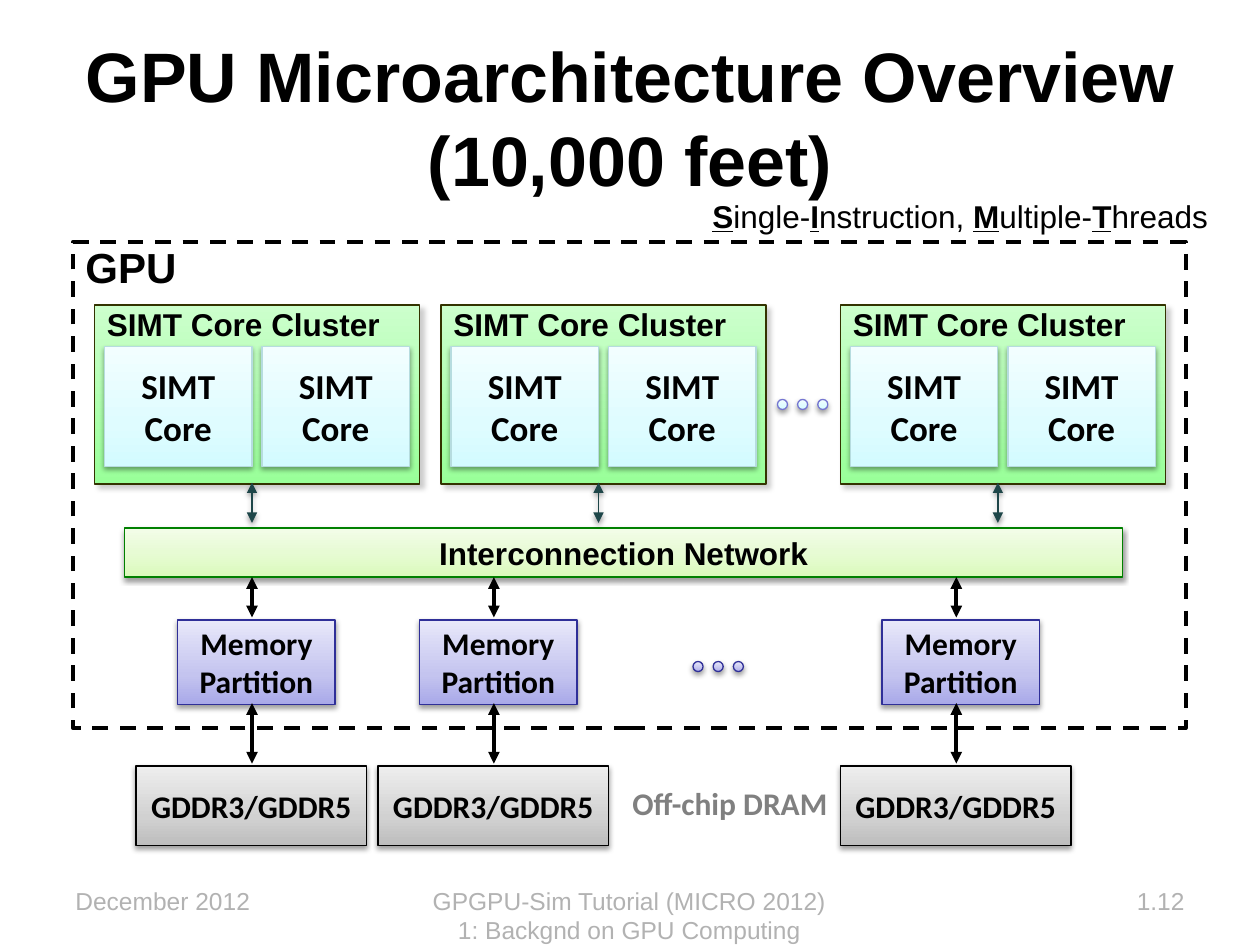
from dataclasses import dataclass

from lxml import etree
from pptx import Presentation
from pptx.dml.color import RGBColor
from pptx.enum.dml import MSO_LINE
from pptx.enum.shapes import MSO_CONNECTOR, MSO_SHAPE
from pptx.enum.text import MSO_ANCHOR, PP_ALIGN
from pptx.oxml.ns import qn
from pptx.util import Inches, Pt

RECT, OVAL = MSO_SHAPE.RECTANGLE, MSO_SHAPE.OVAL
STRAIGHT, DASH = MSO_CONNECTOR.STRAIGHT, MSO_LINE.DASH
LEFT, CENTER, RIGHT = PP_ALIGN.LEFT, PP_ALIGN.CENTER, PP_ALIGN.RIGHT
TOP, MIDDLE = MSO_ANCHOR.TOP, MSO_ANCHOR.MIDDLE


@dataclass(frozen=True)
class Theme:
    sans: str = "Arial"
    label: str = "Calibri"
    # Type sizes
    title: int = 40
    heading: int = 24
    core_size: int = 20
    body: int = 18
    footer_size: int = 14
    # Text and line colours
    ink: str = "000000"
    footer: str = "B2B2B2"
    muted: str = "808080"
    cluster_line: str = "333300"
    core_line: str = "B6DCDF"
    core_dot_line: str = "7575D1"
    core_arrow: str = "1E4649"
    network_line: str = "008000"
    memory_line: str = "2F2F98"
    # Gradients, bottom to top: (position in percent, colour)
    cluster: tuple = ((0, "99FF99"), (100, "CCFFCC"))
    core: tuple = ((0, "D3FBFF"), (35, "DFFCFF"), (100, "F2FEFF"))
    network: tuple = ((0, "DAFABB"), (50, "E7FBD4"), (100, "F3FDE9"))
    memory: tuple = ((0, "A9A9E9"), (35, "C4C4EF"), (100, "E8E8FA"))
    dram: tuple = ((0, "BDBDBD"), (35, "D1D1D1"), (100, "EEEEEE"))
    # Shadows: opacity in percent, blur, distance (points), direction (degrees)
    soft: tuple = (38, 3.1, 1.6, 90)
    corner: tuple = (20, 3, 3, 45)


THEME = Theme()


def add_text(tf, text, size=THEME.body, font=THEME.sans, color=THEME.ink,
             bold=False, align=LEFT, anchor=TOP, wrap=False):
    """Write one paragraph per line; *marked* parts are bold and underlined."""
    tf.word_wrap = wrap
    tf.vertical_anchor = anchor
    for i, line in enumerate(text.split("\n")):
        p = tf.add_paragraph() if i else tf.paragraphs[0]
        p.alignment = align
        for j, part in enumerate(line.split("*")):
            if not part:
                continue
            marked = j % 2 == 1
            r = p.add_run()
            r.text = part
            r.font.size, r.font.name = Pt(size), font
            r.font.bold = bold or marked
            r.font.underline = marked
            r.font.color.rgb = RGBColor.from_string(color)


def add_color(parent, color, alpha=100):
    clr = etree.SubElement(parent, qn("a:srgbClr"), val=color)
    if alpha < 100:
        etree.SubElement(clr, qn("a:alpha"), val=str(alpha * 1000))


class Builder:
    def __init__(self, slide, theme):
        self.s, self.theme = slide, theme
        self.shapes = slide.shapes

    def group(self):
        """Send the following elements to a new group."""
        self.shapes = self.s.shapes.add_group_shape().shapes

    def ungroup(self):
        self.shapes = self.s.shapes

    def text(self, x, y, w, h, text, **fmt):
        sp = self.shapes.add_textbox(*map(Inches, (x, y, w, h)))
        add_text(sp.text_frame, text, **fmt)

    def box(self, x, y, w, h, text="", kind=RECT, grad=None, line=THEME.ink,
            width=0.75, dash=None, shadow=None, top_inset=0.05, **fmt):
        sp = self.shapes.add_shape(kind, *map(Inches, (x, y, w, h)))
        sp.line.color.rgb = RGBColor.from_string(line)
        sp.line.width = Pt(width)
        sp.line.dash_style = dash
        sp.shadow.inherit = False
        if grad:
            self.gradient(sp, grad)
        else:
            sp.fill.background()
        if shadow:
            self.shadow(sp._element.spPr.find(qn("a:effectLst")), shadow)
        if text:
            sp.text_frame.margin_top = Inches(top_inset)
            add_text(sp.text_frame, text, **fmt)

    def gradient(self, sp, stops):
        sp.fill.gradient()
        sp.fill.gradient_angle = 90
        gs_lst = sp._element.spPr.find(".//" + qn("a:gsLst"))
        for gs in list(gs_lst):
            gs_lst.remove(gs)
        for pos, color in stops:
            add_color(etree.SubElement(gs_lst, qn("a:gs"), pos=str(pos * 1000)), color)

    def shadow(self, effects, style):
        alpha, blur, dist, angle = style
        sh = etree.SubElement(effects, qn("a:outerShdw"), blurRad=str(Pt(blur)),
                              dist=str(Pt(dist)), dir=str(angle * 60000),
                              rotWithShape="0")
        add_color(sh, self.theme.ink, alpha)

    def arrow(self, x, y1, y2, color, width, shadow=None):
        """Vertical line with a triangle at both ends."""
        cx = self.shapes.add_connector(STRAIGHT, *map(Inches, (x, y1, x, y2)))
        cx.line.color.rgb = RGBColor.from_string(color)
        cx.line.width = Pt(width)
        sp_pr = cx._element.spPr
        for end in ("a:headEnd", "a:tailEnd"):
            etree.SubElement(sp_pr.find(qn("a:ln")), qn(end), type="triangle")
        effects = etree.SubElement(sp_pr, qn("a:effectLst"))
        if shadow:
            self.shadow(effects, shadow)

    def dots(self, x, y, grad, line):
        self.group()
        for i in range(3):
            self.box(x + i * 0.16, y, 0.08, 0.08, kind=OVAL, grad=grad,
                     line=line, shadow=self.theme.soft)
        self.ungroup()

    def cluster(self, x):
        t = self.theme
        self.group()
        self.box(x, 2.42, 2.58, 1.42, "SIMT Core Cluster", grad=t.cluster,
                 line=t.cluster_line, width=1, shadow=t.corner, top_inset=0,
                 bold=True)
        for dx in (0.08, 1.33):
            self.box(x + dx, 2.75, 1.17, 0.95, "SIMT\nCore", grad=t.core,
                     line=t.core_line, shadow=t.soft, size=t.core_size,
                     font=t.label, bold=True, align=CENTER, anchor=MIDDLE)
        self.arrow(x + 1.25, 3.83, 4.15, t.core_arrow, 0.75, t.soft)
        self.ungroup()

    def memory(self, x):
        t = self.theme
        label = dict(shadow=t.soft, font=t.label, bold=True,
                     align=CENTER, anchor=MIDDLE)
        self.group()
        self.box(x + 0.33, 4.92, 1.25, 0.67, "Memory\nPartition",
                 grad=t.memory, line=t.memory_line, **label)
        self.box(x, 6.08, 1.83, 0.63, "GDDR3/GDDR5", grad=t.dram, **label)
        for y1, y2 in ((5.58, 6.06), (4.58, 4.9)):
            self.arrow(x + 0.92, y1, y2, t.ink, 2.25)
        self.ungroup()


def main():
    prs = Presentation()
    prs.slide_width, prs.slide_height = Inches(10), Inches(7.5)
    t = THEME
    b = Builder(prs.slides.add_slide(prs.slide_layouts[6]), t)

    # Title and legend
    b.text(0.5, 0.3, 9, 1.25, "GPU Microarchitecture Overview\n(10,000 feet)",
           size=t.title, bold=True, align=CENTER, anchor=MIDDLE, wrap=True)
    b.text(5.47, 1.5, 4.3, 0.42, "*S*ingle-*I*nstruction, *M*ultiple-*T*hreads",
           align=CENTER, anchor=MIDDLE)

    # Chip outline and interconnect
    b.box(0.58, 1.92, 8.83, 3.86, "GPU", width=2.25, dash=DASH,
          top_inset=0, size=t.heading, bold=True)
    b.dots(6.17, 3.17, t.core, t.core_dot_line)
    b.box(0.99, 4.19, 7.92, 0.39, "Interconnection Network", grad=t.network,
          line=t.network_line, shadow=t.soft, bold=True,
          align=CENTER, anchor=MIDDLE)

    # Memory partitions with their DRAM
    b.dots(5.5, 5.25, t.memory, t.memory_line)
    for x in (6.67, 3, 1.08):
        b.memory(x)
    b.text(4.92, 6.17, 1.77, 0.4, "Off-chip DRAM", font=t.label,
           color=t.muted, bold=True)

    # Core clusters
    for x in (0.75, 3.5, 6.67):
        b.cluster(x)

    # Footer
    for x, w, text, align in (
            (0.5, 2.33, "December 2012", LEFT),
            (3.33, 3.33, "GPGPU-Sim Tutorial (MICRO 2012) 1: Backgnd on GPU Computing", CENTER),
            (7.17, 2.33, "1.12", RIGHT)):
        b.text(x, 6.98, w, 0.52, text, size=t.footer_size, color=t.footer,
               align=align, wrap=True)

    prs.save("out.pptx")


if __name__ == "__main__":
    main()
